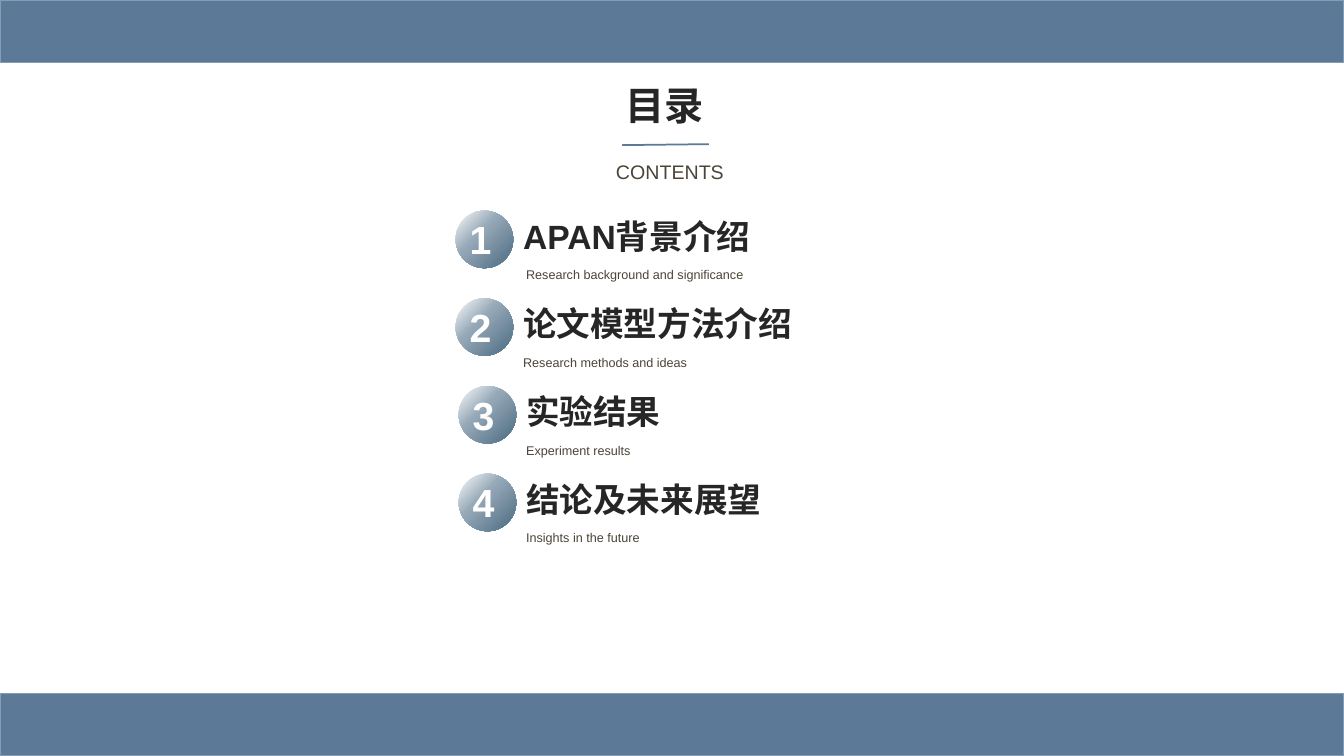
from dataclasses import dataclass

from lxml.etree import SubElement
from pptx import Presentation
from pptx.dml.color import RGBColor
from pptx.enum.shapes import MSO_CONNECTOR, MSO_SHAPE
from pptx.enum.text import MSO_ANCHOR, MSO_AUTO_SIZE, PP_ALIGN
from pptx.oxml import parse_xml
from pptx.oxml.ns import nsdecls, qn
from pptx.shapes.autoshape import Shape
from pptx.slide import Slide
from pptx.util import Inches, Pt

BLUE = RGBColor(0x5C, 0x79, 0x97)
EDGE = RGBColor(0x84, 0x9C, 0xB4)
INK = RGBColor(0x26, 0x26, 0x26)
BROWN = RGBColor(0x4C, 0x44, 0x38)
WHITE = RGBColor(0xFF, 0xFF, 0xFF)
STOPS = (
    (0, WHITE),
    (40, RGBColor(0x96, 0xA9, 0xB8)),
    (100, RGBColor(0x4B, 0x6A, 0x81)),
)
FONT = "Arial"
WIDTH, HEIGHT = 13.33, 7.5
BAND = 0.62
BALL = 0.57
TOP, PITCH = 2.09, 0.87


@dataclass(frozen=True)
class Entry:
    head: str
    note: str
    left: float
    note_left: float
    width: float = 3.11


@dataclass(frozen=True)
class Style:
    size: int
    color: RGBColor
    bold: bool = False


ENTRIES = (
    Entry("APAN背景介绍", "Research background and significance", 4.52, 5.12, 4.25),
    Entry("论文模型方法介绍", "Research methods and ideas", 4.52, 5.09),
    Entry("实验结果", "Experiment results", 4.55, 5.12),
    Entry("结论及未来展望", "Insights in the future", 4.55, 5.12),
)
TITLE = Style(28, INK, True)
LABEL = Style(14, BROWN)
HEAD = Style(24, INK, True)
NOTE = Style(9, BROWN)
DIGIT = Style(28, WHITE, True)


def write(shape: Shape, text: str, style: Style) -> None:
    frame = shape.text_frame
    frame.word_wrap = True
    frame.auto_size = MSO_AUTO_SIZE.SHAPE_TO_FIT_TEXT
    frame.vertical_anchor = MSO_ANCHOR.TOP
    para = frame.paragraphs[0]
    para.alignment = PP_ALIGN.LEFT
    run = para.add_run()
    run.text = text
    font = run.font
    font.name, font.size, font.bold = FONT, Pt(style.size), style.bold
    font.color.rgb = style.color


def add_text(slide: Slide, text: str, style: Style, left: float, top: float,
             width: float, height: float) -> None:
    box = slide.shapes.add_textbox(
        Inches(left), Inches(top), Inches(width), Inches(height))
    write(box, text, style)


def add_band(slide: Slide, top: float) -> None:
    band = slide.shapes.add_shape(
        MSO_SHAPE.RECTANGLE, 0, Inches(top), Inches(WIDTH), Inches(BAND))
    band.shadow.inherit = False
    band.fill.solid()
    band.fill.fore_color.rgb = BLUE
    band.line.color.rgb = EDGE
    band.line.width = Pt(1)


def add_ball(slide: Slide, left: float, top: float) -> None:
    """Draw a circle shaded from its upper left to its lower right."""
    ball = slide.shapes.add_shape(
        MSO_SHAPE.OVAL, Inches(left), Inches(top), Inches(BALL), Inches(BALL))
    ball.shadow.inherit = False
    ball.line.fill.background()
    stops = "".join(
        f'<a:gs pos="{pos * 1000}"><a:srgbClr val="{color}"/></a:gs>'
        for pos, color in STOPS)
    grad = parse_xml(
        f'<a:gradFill {nsdecls("a")} rotWithShape="1"><a:gsLst>{stops}</a:gsLst>'
        '<a:lin ang="2700000" scaled="0"/></a:gradFill>')
    ball._element.spPr.find(qn("a:prstGeom")).addnext(grad)


def add_rule(slide: Slide) -> None:
    rule = slide.shapes.add_connector(
        MSO_CONNECTOR.STRAIGHT,
        Inches(7.03), Inches(1.43), Inches(6.17), Inches(1.44))
    rule.line.color.rgb = BLUE
    rule.line.width = Pt(1.25)
    SubElement(rule._element.spPr, qn("a:effectLst"))


def add_entry(slide: Slide, index: int, entry: Entry) -> None:
    top = TOP + index * PITCH
    add_ball(slide, entry.left, top)
    add_text(slide, str(index + 1), DIGIT, entry.left + 0.04, top, 0.5, BALL)
    add_text(slide, entry.head, HEAD, entry.left + BALL, top, entry.width, 0.5)
    add_text(slide, entry.note, NOTE, entry.note_left, top + 0.51, 2.57, 0.25)


def main() -> None:
    deck = Presentation()
    deck.slide_width, deck.slide_height = Inches(WIDTH), Inches(HEIGHT)
    slide = deck.slides.add_slide(deck.slide_layouts.get_by_name("Title Only"))
    for top in (0, HEIGHT - BAND):
        add_band(slide, top)
    title = slide.shapes.title
    title.left, title.top = Inches(6.1), Inches(0.76)
    title.width, title.height = Inches(1.14), Inches(0.57)
    write(title, "目录", TITLE)
    add_rule(slide)
    add_text(slide, "CONTENTS", LABEL, 6.01, 1.54, 1.31, 0.34)
    for index, entry in enumerate(ENTRIES):
        add_entry(slide, index, entry)
    deck.save("out.pptx")


if __name__ == "__main__":
    main()
